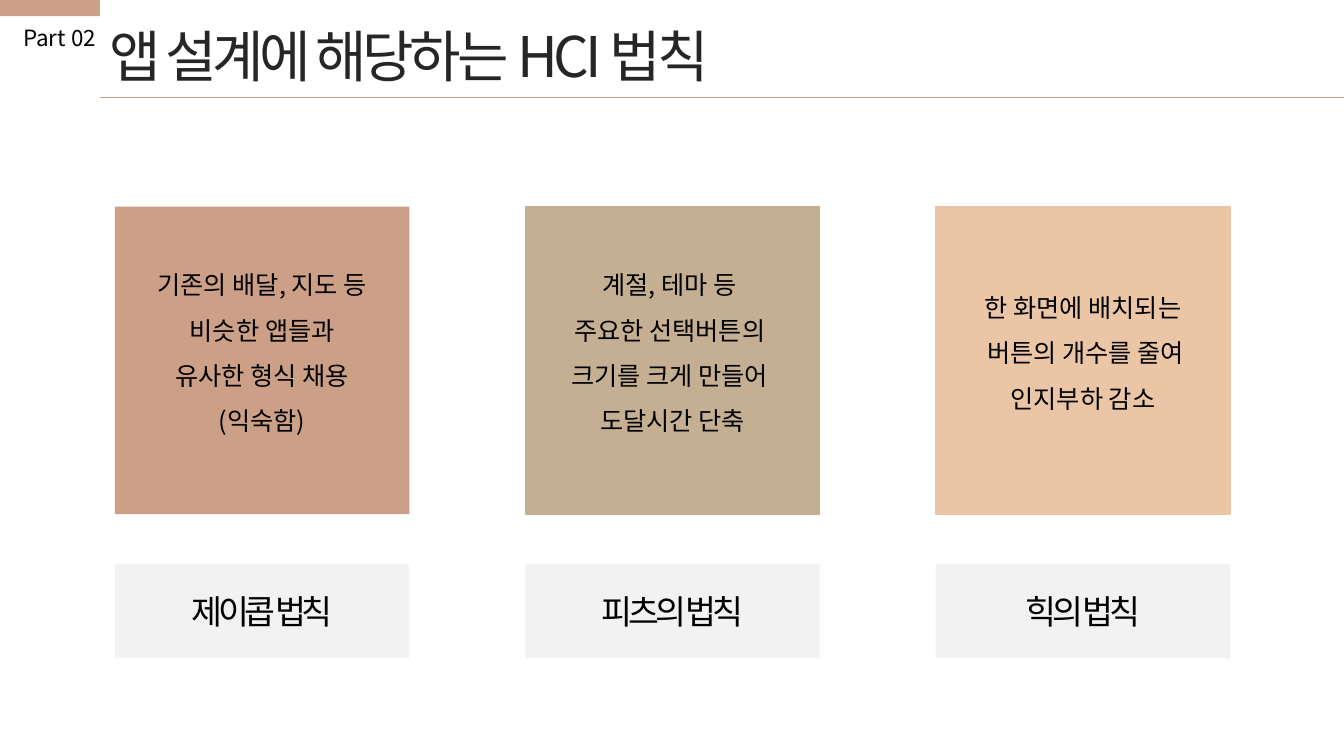
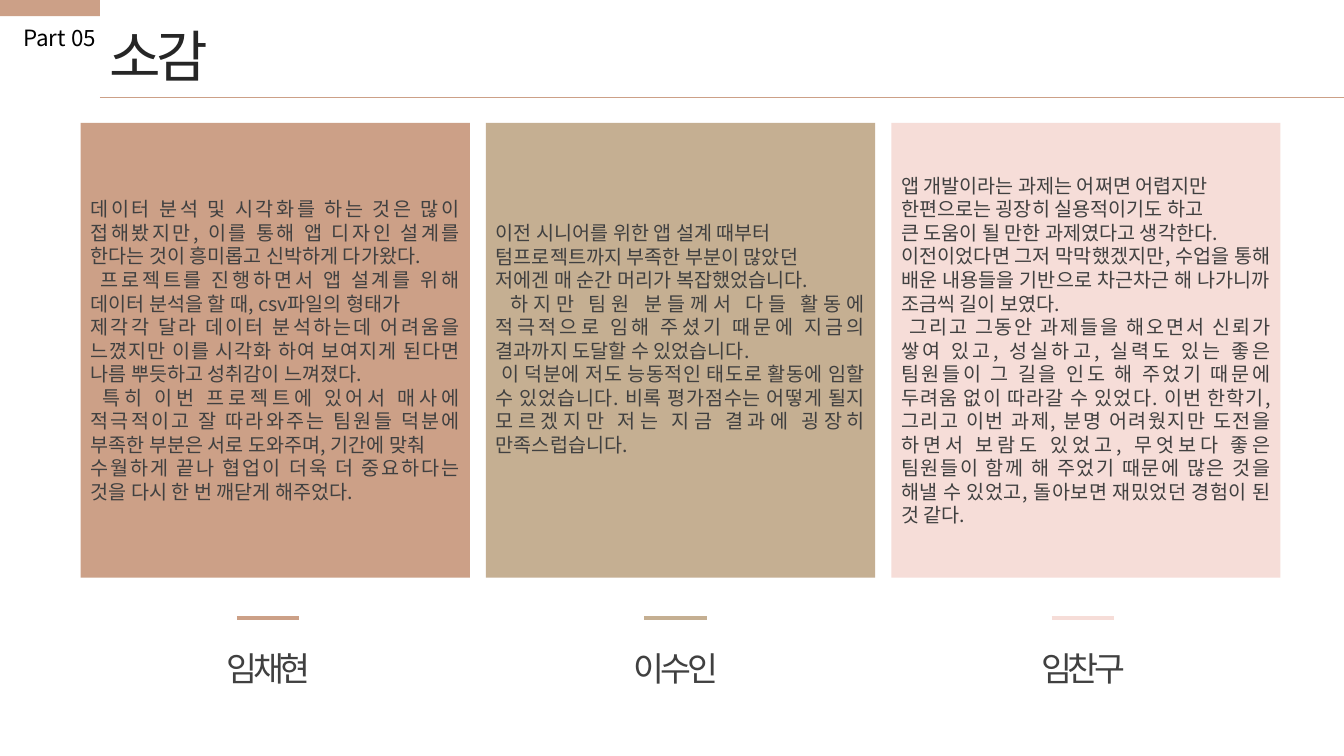
from lxml import etree
from pptx import Presentation
from pptx.dml.color import RGBColor
from pptx.enum.shapes import MSO_CONNECTOR as Connector, MSO_SHAPE as Preset
from pptx.enum.text import MSO_ANCHOR as Anchor, MSO_AUTO_SIZE as AutoSize, PP_ALIGN as Align
from pptx.oxml.ns import qn
from pptx.util import Emu, Pt

PX = 9144  # 100 px to the inch
FONT = "Noto Sans CJK KR"
SLIDE_W, SLIDE_H = 1333, 750
COLORS = {
    "clay": "CCA087",
    "sand": "C5AF92",
    "peach": "EAC6A6",
    "blush": "F6DDD8",
    "caption": "F2F2F2",
    "title": "262626",
    "body": "404040",
    "black": "000000",
}

LAWS = [
    ("제이콥 법칙", "clay", False,
     ["기존의 배달, 지도 등", " 비슷한 앱들과 ", "유사한 형식 채용", "(익숙함)"]),
    ("피츠의 법칙", "sand", True,
     ["계절, 테마 등 ", "주요한 선택버튼의 ", "크기를 크게 만들어 ", "도달시간 단축"]),
    ("힉의 법칙", "peach", True,
     ["한 화면에 배치되는", " 버튼의 개수를 줄여", "인지부하 감소"]),
]

# member, colour, bottom inset, paragraphs
OPINIONS = [
    ("임채현", "clay", 5, [
        "데이터 분석 및 시각화를 하는 것은 많이 접해봤지만, 이를 통해 앱 디자인 설계를 "
        "한다는 것이 흥미롭고 신박하게 다가왔다.",
        " 프로젝트를 진행하면서 앱 설계를 위해 데이터 분석을 할 때, csv파일의 형태가 ",
        "제각각 달라 데이터 분석하는데 어려움을 느꼈지만 이를 시각화 하여 보여지게 된다면 "
        "나름 뿌듯하고 성취감이 느껴졌다. ",
        " 특히 이번 프로젝트에 있어서 매사에 적극적이고 잘 따라와주는 팀원들 덕분에 "
        "부족한 부분은 서로 도와주며, 기간에 맞춰 ",
        "수월하게 끝나 협업이 더욱 더 중요하다는 것을 다시 한 번 깨닫게 해주었다. ",
    ]),
    ("이수인", "sand", 28, [
        "이전 시니어를 위한 앱 설계 때부터 ",
        "텀프로젝트까지 부족한 부분이 많았던 ",
        "저에겐 매 순간 머리가 복잡했었습니다.",
        " 하지만 팀원 분들께서 다들 활동에 적극적으로 임해 주셨기 때문에 지금의 "
        "결과까지 도달할 수 있었습니다. ",
        " 이 덕분에 저도 능동적인 태도로 활동에 임할 수 있었습니다. 비록 평가점수는 "
        "어떻게 될지 모르겠지만 저는 지금 결과에 굉장히 만족스럽습니다.",
    ]),
    ("임찬구", "blush", 5, [
        "앱 개발이라는 과제는 어쩌면 어렵지만 ",
        "한편으로는 굉장히 실용적이기도 하고 ",
        "큰 도움이 될 만한 과제였다고 생각한다. ",
        "이전이었다면 그저 막막했겠지만, 수업을 통해 배운 내용들을 기반으로 차근차근 해 "
        "나가니까 조금씩 길이 보였다. ",
        " 그리고 그동안 과제들을 해오면서 신뢰가 쌓여 있고, 성실하고, 실력도 있는 좋은 "
        "팀원들이 그 길을 인도 해 주었기 때문에 두려움 없이 따라갈 수 있었다. 이번 한학기, "
        "그리고 이번 과제, 분명 어려웠지만 도전을 하면서 보람도 있었고, 무엇보다 좋은 "
        "팀원들이 함께 해 주었기 때문에 많은 것을 해낼 수 있었고, 돌아보면 재밌었던 경험이 "
        "된 것 같다.",
    ]),
]


def px(*lengths):
    return [Emu(length * PX) for length in lengths]


def rgb(color):
    return RGBColor.from_string(COLORS[color])


def write(frame, lines, size, color, align, spacing=None, tracking=0):
    frame.text = "\n".join(lines)
    for paragraph in frame.paragraphs:
        paragraph.alignment = align
        if spacing:
            paragraph.line_spacing = spacing
        for run in paragraph.runs:
            run.font.size = Pt(size)
            run.font.name = FONT
            run.font.color.rgb = rgb(color)
            props = run.font._element
            etree.SubElement(props, qn("a:ea")).set("typeface", FONT)
            if tracking:
                props.set("spc", str(tracking * 100))


def add_label(slide, box, text, size, color, align, tracking=0, wrap=False):
    frame = slide.shapes.add_textbox(*px(*box)).text_frame
    frame.word_wrap = wrap
    frame.auto_size = AutoSize.SHAPE_TO_FIT_TEXT
    write(frame, [text], size, color, align, tracking=tracking)


def add_block(slide, box, color, outlined=False):
    block = slide.shapes.add_shape(Preset.RECTANGLE, *px(*box))
    block.shadow.inherit = False
    block.fill.solid()
    block.fill.fore_color.rgb = rgb(color)
    if outlined:
        block.line.color.rgb = rgb(color)
        block.line.width = Pt(1)
    else:
        block.line.fill.background()
    frame = block.text_frame
    frame.word_wrap = True
    frame.vertical_anchor = Anchor.MIDDLE
    return frame


def add_rule(slide, left, y, width, color, weight):
    rule = slide.shapes.add_connector(Connector.STRAIGHT, *px(left, y, left + width, y))
    rule.line.color.rgb = rgb(color)
    rule.line.width = Pt(weight)
    etree.SubElement(rule._element.spPr, qn("a:effectLst"))


def add_header(slide, part, title):
    margin = 99
    add_label(slide, (12, 19, 93, 37), part, 16, "black", Align.RIGHT)
    add_label(slide, (margin, 16, 680, 77), title, 40, "title", Align.LEFT, -3, wrap=True)
    add_block(slide, (0, 0, margin, 16), "clay")
    add_rule(slide, margin, 97, SLIDE_W - margin, "clay", 0.5)


def add_law(slide, left, top, width, law):
    name, color, outlined, lines = law
    # Caption below the card
    add_block(slide, (left, top + 355, width, 93), "caption")
    # Card, its text raised a little above the middle
    card = add_block(slide, (left, top, width, 305), color, outlined)
    card.margin_bottom = px(35)[0]
    write(card, lines, 18, "black", Align.CENTER, spacing=1.5)
    add_label(slide, (left + 58, top + 376, width - 116, 50), name, 24, "black",
              Align.CENTER, -3)


def add_member(slide, left, top, width, name, color):
    dash = 62
    add_rule(slide, left + (width - dash) // 2, top, dash, color, 3)
    add_label(slide, (left, top + 25, width, 50), name, 24, "body", Align.CENTER, -3)


def add_opinion(slide, left, top, width, color, inset, paragraphs):
    panel = add_block(slide, (left, top, width, 451), color)
    panel.margin_bottom = px(inset)[0]
    write(panel, paragraphs, 14, "body", Align.JUSTIFY)


def build_laws(slide):
    add_header(slide, "Part 02", "앱 설계에 해당하는 HCI 법칙")
    for i, law in enumerate(LAWS):
        add_law(slide, 114 + i * 407, 205, 292, law)


def build_opinions(slide):
    add_header(slide, "Part 05", "소감")
    for i, (name, color, inset, paragraphs) in enumerate(OPINIONS):
        add_member(slide, 212 + i * 404, 613, 109, name, color)
        add_opinion(slide, 80 + i * 402, 122, 386, color, inset, paragraphs)


def main():
    deck = Presentation()
    deck.slide_width, deck.slide_height = px(SLIDE_W, SLIDE_H)
    blank = deck.slide_layouts[6]
    for build in (build_laws, build_opinions):
        build(deck.slides.add_slide(blank))
    deck.save("out.pptx")


if __name__ == "__main__":
    main()
